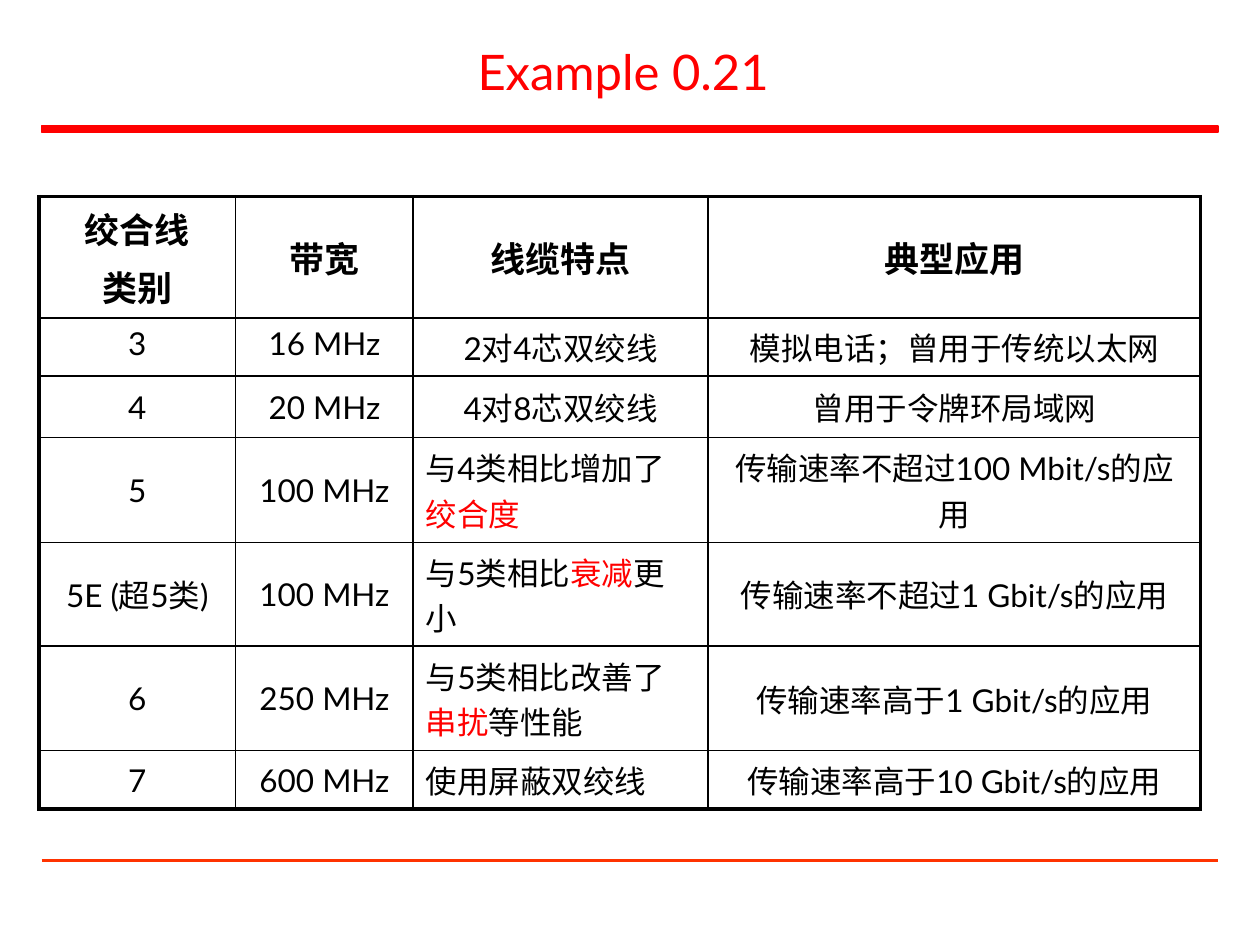
from dataclasses import dataclass

from lxml import etree
from pptx import Presentation
from pptx.dml.color import RGBColor
from pptx.enum.shapes import MSO_CONNECTOR, MSO_SHAPE
from pptx.enum.text import MSO_ANCHOR, PP_ALIGN
from pptx.oxml.ns import qn
from pptx.util import Inches, Pt

LEFT, CENTER = PP_ALIGN.LEFT, PP_ALIGN.CENTER
TOP, MIDDLE = MSO_ANCHOR.TOP, MSO_ANCHOR.MIDDLE
RECTANGLE = MSO_SHAPE.RECTANGLE
STRAIGHT = MSO_CONNECTOR.STRAIGHT


@dataclass(frozen=True)
class Theme:
    font: str = "Lato"
    text: RGBColor = RGBColor(0, 0, 0)
    accent: RGBColor = RGBColor(0xFF, 0, 0)
    footer: RGBColor = RGBColor(0xFF, 0x33, 0)
    title_size: int = 28
    header_size: int = 20
    body_size: int = 18
    outer_border: float = 2.25
    inner_border: float = 1


THEME = Theme()

COLUMN_WIDTHS = [1.56, 1.41, 2.34, 3.91]
ROW_HEIGHTS = [0.96, 0.46, 0.49, 0.83, 0.82, 0.83, 0.46]

# Asterisks enclose the words to highlight.
CABLE_ROWS = [
    ["绞合线\n类别", "带宽", "线缆特点", "典型应用"],
    ["3", "16 MHz", "2对4芯双绞线", "模拟电话；曾用于传统以太网"],
    ["4", "20 MHz", "4对8芯双绞线", "曾用于令牌环局域网"],
    ["5", "100 MHz", "与4类相比增加了*绞合度*", "传输速率不超过100 Mbit/s的应用"],
    ["5E (超5类)", "100 MHz", "与5类相比*衰减*更小", "传输速率不超过1 Gbit/s的应用"],
    ["6", "250 MHz", "与5类相比改善了*串扰*等性能", "传输速率高于1 Gbit/s的应用"],
    ["7", "600 MHz", "使用屏蔽双绞线", "传输速率高于10 Gbit/s的应用"],
]


def write_text(text_frame, text, *, size, color=THEME.text, bold=False,
               align=CENTER, space_before=0):
    """Write one paragraph per line, with *marked* words in the accent colour."""
    for number, line in enumerate(text.split("\n")):
        paragraph = text_frame.add_paragraph() if number else text_frame.paragraphs[0]
        paragraph.alignment = align
        paragraph.space_before = Pt(space_before)
        for index, part in enumerate(line.split("*")):
            if not part:
                continue
            run = paragraph.add_run()
            run.text = part
            run.font.name = THEME.font
            run.font.size = Pt(size)
            run.font.bold = bold
            run.font.color.rgb = THEME.accent if index % 2 else color


def add_title(slide, text):
    title = slide.shapes.title
    title.left, title.top = Inches(0.39), Inches(0.22)
    title.width, title.height = Inches(9.21), Inches(0.69)
    title.text_frame.vertical_anchor = MIDDLE
    write_text(title.text_frame, text, size=THEME.title_size, color=THEME.accent)


def add_title_bar(slide):
    bar = slide.shapes.add_shape(
        RECTANGLE, Inches(0.33), Inches(1), Inches(9.34), Inches(0.05))
    bar.shadow.inherit = False
    bar.fill.solid()
    bar.fill.fore_color.rgb = THEME.accent
    bar.line.color.rgb = THEME.accent
    bar.line.width = Pt(1)


def add_footer_line(slide):
    line = slide.shapes.add_connector(
        STRAIGHT, Inches(0.33), Inches(6.83), Inches(9.67), Inches(6.83))
    line.line.color.rgb = THEME.footer
    line.line.width = Pt(1.5)
    etree.SubElement(line._element.spPr, qn("a:effectLst"))


def set_borders(cell, outer_sides):
    """Draw all four borders, thicker on the sides at the table's edge."""
    properties = cell._tc.get_or_add_tcPr()
    for side in "LRTB":
        width = THEME.outer_border if side in outer_sides else THEME.inner_border
        border = etree.SubElement(properties, qn(f"a:ln{side}"), w=str(Pt(width)))
        fill = etree.SubElement(border, qn("a:solidFill"))
        etree.SubElement(fill, qn("a:srgbClr"), val=str(THEME.text))


def format_cell(cell, text, row, column):
    last_row, last_column = len(ROW_HEIGHTS) - 1, len(COLUMN_WIDTHS) - 1
    edges = {"L": column == 0, "R": column == last_column,
             "T": row == 0, "B": row == last_row}
    set_borders(cell, [side for side, is_edge in edges.items() if is_edge])
    cell.fill.background()
    top_aligned = row == 1 or (row, column) == (last_row, last_column)
    cell.vertical_anchor = TOP if top_aligned else MIDDLE
    size = THEME.body_size if row else THEME.header_size
    write_text(
        cell.text_frame, text, size=size, bold=row == 0,
        align=LEFT if column == 2 and row >= 3 else CENTER,
        space_before=6 if row and column == last_column else size * 0.2)


def add_cable_table(slide):
    frame = slide.shapes.add_table(
        len(ROW_HEIGHTS), len(COLUMN_WIDTHS), Inches(0.31), Inches(1.56),
        Inches(sum(COLUMN_WIDTHS)), Inches(sum(ROW_HEIGHTS)))
    table = frame.table
    table.first_row = table.horz_banding = False
    for column, width in zip(table.columns, COLUMN_WIDTHS):
        column.width = Inches(width)
    for row, height in zip(table.rows, ROW_HEIGHTS):
        row.height = Inches(height)
    for row, texts in enumerate(CABLE_ROWS):
        for column, text in enumerate(texts):
            format_cell(table.cell(row, column), text, row, column)


def main():
    presentation = Presentation()
    presentation.slide_width = Inches(10)
    presentation.slide_height = Inches(7.5)
    slide = presentation.slides.add_slide(presentation.slide_layouts[5])
    add_title_bar(slide)
    add_footer_line(slide)
    add_title(slide, "Example 0.21 ")
    add_cable_table(slide)
    presentation.save("out.pptx")


if __name__ == "__main__":
    main()
